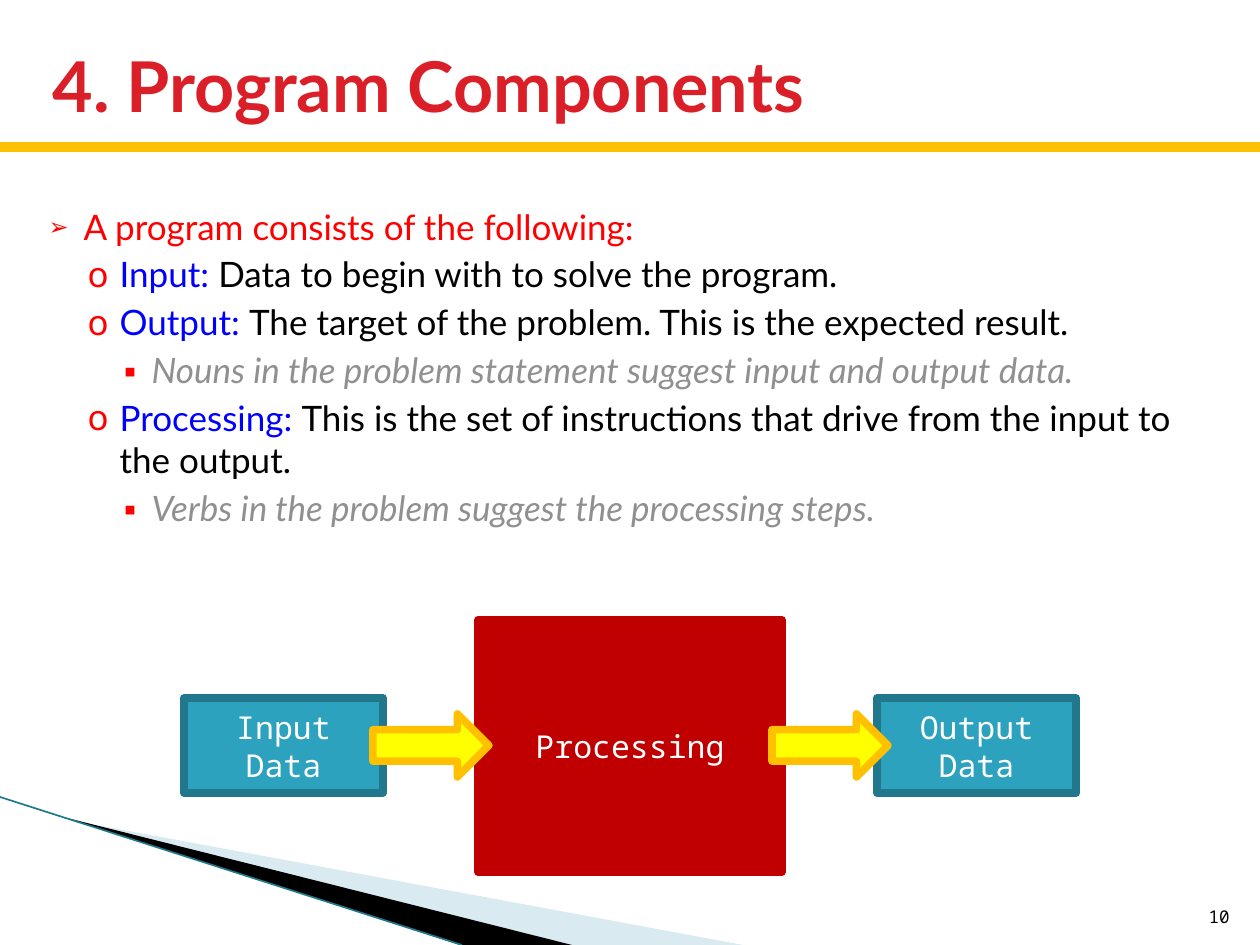
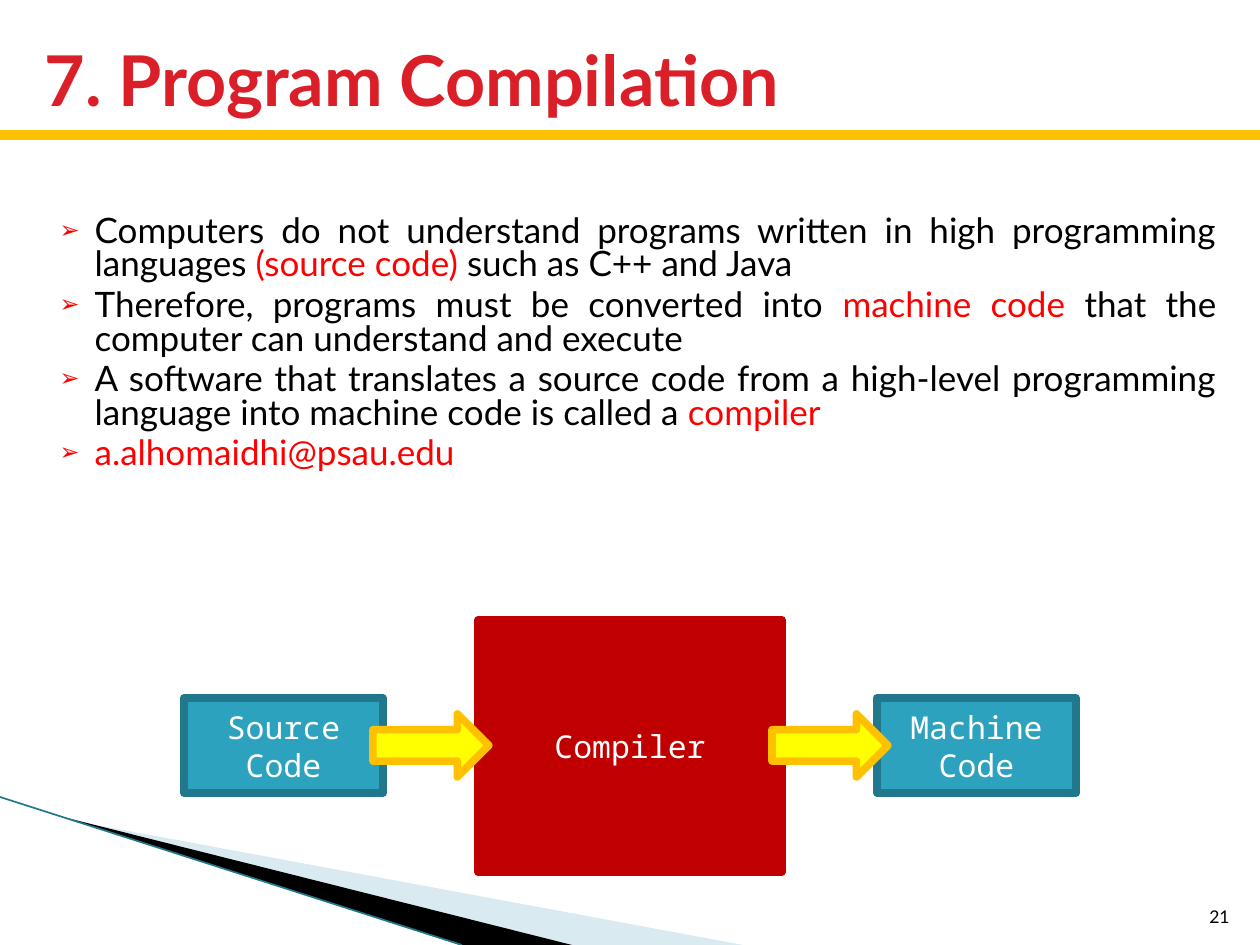
"""Build two slides on program components and compilation."""
from lxml import etree
from pptx import Presentation
from pptx import util as u
from pptx.dml import color
from pptx.enum import shapes, text
from pptx.oxml import ns

SCALE = 914400 / 126
HUES = {
    "title": "DA1F28", "band": "FFC000", "ink": "000000", "red": "FF0000",
    "blue": "0000FF", "grey": "909090", "white": "FFFFFF", "teal": "2DA2BF",
    "edge": "21788D", "core": "C00000", "arrow": "FFFF00", "pale": "D9EAF1",
}
SANS, MONO = "Lato", "Noto Sans Mono"
LEVELS = [
    {"left": 50, "hang": 35, "before": 4, "mark": "➢", "size": 68},
    {"left": 86, "hang": 32, "before": 3.2, "mark": "o", "size": 100},
    {"left": 118, "hang": 32, "before": 3.5, "mark": "▪", "size": 100},
]


def px(num):
    return u.Emu(round(num * SCALE))


def rgb(hue):
    return color.RGBColor.from_string(HUES[hue])


class Deck:
    """Holds the style and the current slide."""

    def __init__(self):
        self.file = Presentation()
        self.file.slide_width, self.file.slide_height = px(1260), px(945)

    def start(self):
        self.slide = self.file.slides.add_slide(self.file.slide_layouts[1])
        self.wedge("pale", (69, 820), (743, 945), (572, 945))
        self.wedge("ink", (67, 818), (572, 945), (460, 945))
        self.line((0, 797), (462, 945), "edge", 0.95)

    def place(self, item, area):
        item.left, item.top, item.width, item.height = map(px, area)

    def paint(self, item, fill, edge=None):
        item.shadow.inherit = False
        item.fill.solid()
        item.fill.fore_color.rgb = rgb(fill)
        if edge:
            item.line.color.rgb = rgb(edge)
            item.line.width = u.Pt(4.33)
        else:
            item.line.fill.background()

    def run(self, para, words, hue, size, face=SANS, bold=False, slant=False):
        run = para.add_run()
        run.text = words
        font = run.font
        font.name, font.size = face, u.Pt(size)
        font.bold, font.italic = bold, slant
        font.color.rgb = rgb(hue)

    def wedge(self, hue, first, *rest):
        pen = self.slide.shapes.build_freeform(*first, scale=SCALE)
        pen.add_line_segments(rest)
        self.paint(pen.convert_to_shape(), hue)

    def line(self, head, tail, hue, width):
        line = self.slide.shapes.add_connector(
            shapes.MSO_CONNECTOR.STRAIGHT, *map(px, head + tail))
        line.line.color.rgb = rgb(hue)
        line.line.width = u.Pt(width)
        etree.SubElement(line._element.spPr, ns.qn("a:effectLst"))

    def title(self, words, area, rule):
        item = self.slide.shapes.title
        self.place(item, area)
        frame = item.text_frame
        frame.auto_size = text.MSO_AUTO_SIZE.NONE
        frame.vertical_anchor = text.MSO_ANCHOR.MIDDLE
        para = frame.paragraphs[0]
        para.alignment = text.PP_ALIGN.LEFT
        self.run(para, words, "title", 40, bold=True)
        self.line((0, rule), (1260, rule), "band", 6)

    def bullet(self, para, level):
        style = LEVELS[level]
        para.level = level
        props = para._p.get_or_add_pPr()
        props.set("marL", str(px(style["left"])))
        props.set("indent", str(px(-style["hang"])))
        tint = etree.SubElement(props, ns.qn("a:buClr"))
        etree.SubElement(tint, ns.qn("a:srgbClr"), val=HUES["red"])
        etree.SubElement(props, ns.qn("a:buSzPct"), val=str(style["size"] * 1000))
        etree.SubElement(props, ns.qn("a:buFont"), typeface=MONO)
        etree.SubElement(props, ns.qn("a:buChar"), char=style["mark"])

    def body(self, rows, area, align=text.PP_ALIGN.LEFT, pitch=1.0):
        item = self.slide.placeholders[1]
        self.place(item, area)
        frame = item.text_frame
        frame.auto_size = text.MSO_AUTO_SIZE.NONE
        for i, (level, *runs) in enumerate(rows):
            para = frame.add_paragraph() if i else frame.paragraphs[0]
            self.bullet(para, level)
            para.alignment, para.line_spacing = align, pitch
            para.space_before = u.Pt(LEVELS[level]["before"] if i else 0)
            for words, hue in runs:
                self.run(para, words, hue, 20, slant=level == 2)

    def shape(self, kind, area, fill, edge, words=""):
        item = self.slide.shapes.add_shape(kind, *map(px, area))
        self.paint(item, fill, edge)
        if words:
            frame = item.text_frame
            frame.word_wrap = True
            frame.vertical_anchor = text.MSO_ANCHOR.MIDDLE
            para = frame.paragraphs[0]
            para.alignment = text.PP_ALIGN.CENTER
            self.run(para, words, "white", 18, MONO)

    def flow(self, source, core, target):
        box, arrow = shapes.MSO_SHAPE.RECTANGLE, shapes.MSO_SHAPE.RIGHT_ARROW
        for left, words in ((184, source), (877, target)):
            self.shape(box, (left, 698, 199, 95), "teal", "edge", words)
        self.shape(box, (478, 620, 304, 252), "core", "core", core)
        for left in (373, 772):
            self.shape(arrow, (left, 714, 116, 63), "arrow", "band")

    def number(self, words, face):
        item = self.slide.shapes.add_textbox(*map(px, (1192, 883, 50, 50)))
        frame = item.text_frame
        frame.word_wrap = True
        frame.vertical_anchor = text.MSO_ANCHOR.BOTTOM
        para = frame.paragraphs[0]
        para.alignment = text.PP_ALIGN.RIGHT
        self.run(para, words, "ink", 10, face)


def main():
    deck = Deck()

    deck.start()
    deck.title("4. Program Components", (40, 32, 1178, 105), 147)
    deck.body([
        (0, ("A program consists of the following:", "red")),
        (1, ("Input: ", "blue"),
         ("Data to begin with to solve the program.", "ink")),
        (1, ("Output: ", "blue"),
         ("The target of the problem. This is the expected result.", "ink")),
        (2, ("Nouns in the problem statement suggest input and output data.",
             "grey")),
        (1, ("Processing: ", "blue"),
         ("This is the set of instructions that drive from the input to "
          "the output.", "ink")),
        (2, ("Verbs in the problem suggest the processing steps.", "grey")),
    ], (21, 199, 1197, 368))
    deck.flow("Input Data", "Processing", "Output Data")
    deck.number("10", MONO)

    deck.start()
    deck.title("7. Program Compilation", (32, 21, 1197, 116), 135)
    deck.body([
        (0, ("Computers do not understand programs written in high "
             "programming languages ", "ink"),
         ("(source code) ", "red"), ("such as C++ and Java", "ink")),
        (0, ("Therefore, programs must be converted into ", "ink"),
         ("machine code ", "red"),
         ("that the computer can understand and execute", "ink")),
        (0, ("A software that translates a source code from a high-level "
             "programming language into machine code is called a ", "ink"),
         ("compiler", "red")),
        (0, ("a.alhomaidhi@psau.edu", "red")),
    ], (32, 210, 1197, 294), text.PP_ALIGN.JUSTIFY, 0.8)
    deck.flow("Source Code", "Compiler", "Machine Code")
    deck.number("21", SANS)

    deck.file.save("out.pptx")


if __name__ == "__main__":
    main()
